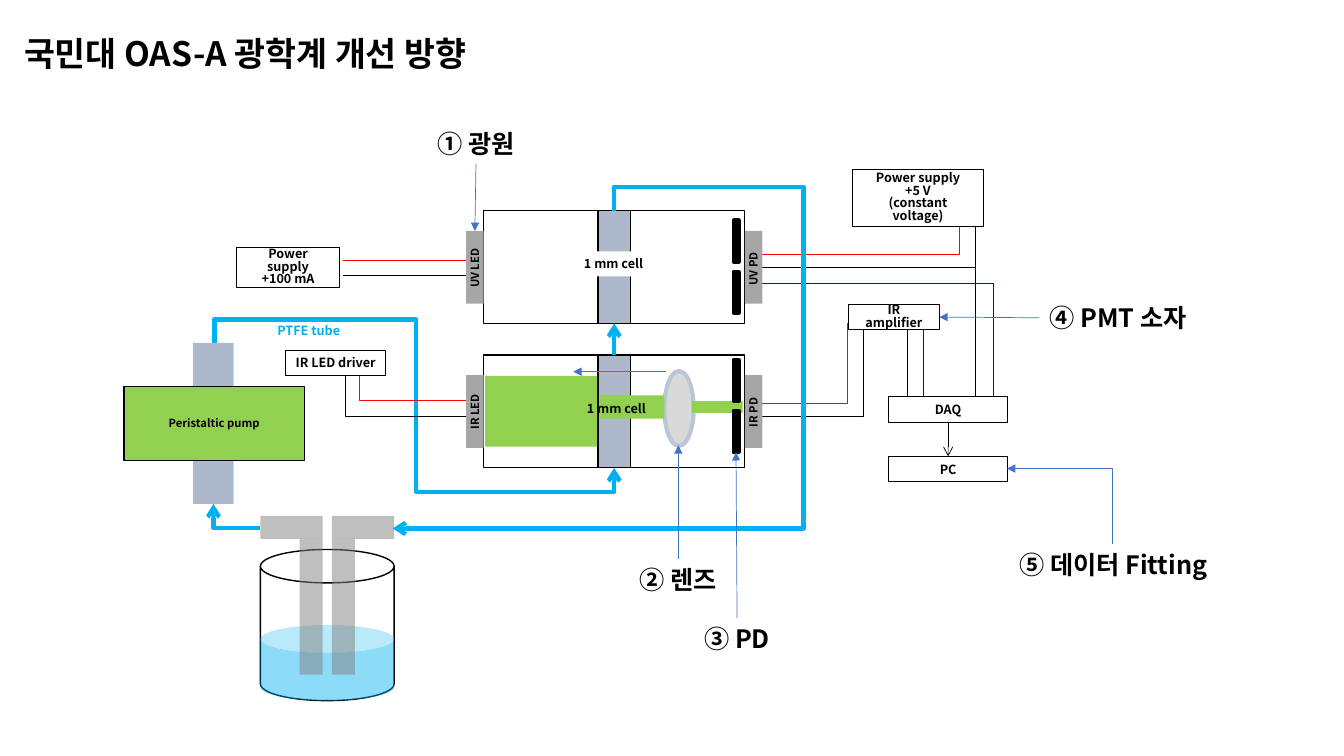
import pptx
import pptx.util
import pptx.dml.color
import pptx.enum.shapes
import pptx.enum.text
import pptx.oxml.ns
from lxml import etree

Pt = pptx.util.Pt
qn = pptx.oxml.ns.qn
SHAPE = pptx.enum.shapes.MSO_SHAPE
LINK = pptx.enum.shapes.MSO_CONNECTOR
ALIGN = pptx.enum.text.PP_ALIGN
MIDDLE = pptx.enum.text.MSO_ANCHOR.MIDDLE
FONT = "Noto Sans CJK KR"
BLACK, WHITE, RED, BLUE = "000000", "FFFFFF", "FF0000", "0000FF"
TUBE, GREEN, GLASS, HOLDER, POINTER = "00B0F0", "92D050", "ADB9CA", "A6A6A6", "4472C4"
TOP, LEFT, BOTTOM, RIGHT = range(4)


def colour(code):
    return pptx.dml.color.RGBColor.from_string(code)


def inside(box, part):
    """Turn a part's offsets within a box into slide lengths."""
    return [Pt(box[0] + part[0]), Pt(box[1] + part[1])] + [Pt(size) for size in part[2:]]


def write(shape, text, size, code=BLACK, align=ALIGN.CENTER, wrap=True, anchor=MIDDLE, spacing=None):
    frame = shape.text_frame
    layout = {"word_wrap": wrap, "vertical_anchor": anchor,
              "auto_size": pptx.enum.text.MSO_AUTO_SIZE.NONE}
    for name, value in layout.items():
        setattr(frame, name, value)
    for index, line in enumerate(text.split("\n")):
        para = frame.paragraphs[0] if index == 0 else frame.add_paragraph()
        para.alignment, para.line_spacing = align, spacing
        span = para.add_run()
        span.text = line
        for name, value in {"name": FONT, "size": Pt(size), "bold": True}.items():
            setattr(span.font, name, value)
        span.font.color.rgb = colour(code)
    for run_format in shape.element.iter(qn("a:rPr")):
        etree.SubElement(run_format, qn("a:ea"), typeface=FONT)


def block(page, box, part, fill=None, line=None, width=1, kind=SHAPE.RECTANGLE, opacity=None):
    shape = page.shapes.add_shape(kind, *inside(box, part))
    shape.shadow.inherit = False
    if fill:
        shape.fill.solid()
        shape.fill.fore_color.rgb = colour(fill)
        if opacity:
            tint = shape.element.spPr.find(".//" + qn("a:srgbClr"))
            etree.SubElement(tint, qn("a:alpha"), val=str(opacity * 1000))
    else:
        shape.fill.background()
    if line:
        shape.line.color.rgb = colour(line)
        shape.line.width = Pt(width)
    else:
        shape.line.fill.background()
    return shape


def label(page, box, part, text, size, **format_values):
    shape = page.shapes.add_textbox(*inside(box, part))
    write(shape, text, size, **format_values)
    return shape


def device(page, box, part, text, fill=WHITE, spacing=None):
    shape = block(page, box, part, fill, BLACK, 0.75)
    write(shape, text, 9, spacing=spacing)
    return shape


def wire(page, box, begin, end, code=BLACK, width=0.5, arrow=None, bends=0, adjust=(), turn=0):
    """Draw a line; one with bends is an elbow, laid out before it is turned."""
    line = page.shapes.add_connector(LINK.ELBOW if bends else LINK.STRAIGHT,
                                     *inside(box, begin), *inside(box, end))
    line.line.color.rgb = colour(code)
    line.line.width = Pt(width)
    properties = line.element.spPr
    if bends:
        shape = properties.find(qn("a:prstGeom"))
        shape.set("prst", f"bentConnector{bends + 1}")
        for number, value in enumerate(adjust, 1):
            etree.SubElement(shape.find(qn("a:avLst")), qn("a:gd"),
                             name=f"adj{number}", fmla=f"val {round(value * 100000)}")
    if turn:
        properties.find(qn("a:xfrm")).set("rot", str(turn * 60000))
    if arrow:
        etree.SubElement(properties.find(qn("a:ln")), qn("a:tailEnd"), type=arrow)
    etree.SubElement(properties, qn("a:effectLst"))
    return line


def join(page, start, start_side, end, end_side, code, width, arrow):
    line = wire(page, (0, 0), (0, 0), (1, 1), code, width, arrow)
    line.begin_connect(start, start_side)
    line.end_connect(end, end_side)


def draw_title(page, box, text):
    title = page.shapes.title
    for name, value in zip(("left", "top", "width", "height"), box):
        setattr(title, name, Pt(value))
    write(title, text, 24, align=ALIGN.LEFT, spacing=1.5)


def draw_detector_wires(page, box):
    # Elbows from the photodiodes
    for begin, end, code, adjust in [
            ((18.5, 168), (85.5, 111), RED, 0.996), ((18.5, 177.5), (98.5, 111), BLACK, 0.975),
            ((8, 61.5), (163.5, 15.5), RED, 1.012), ((8.5, 71), (177, 25.5), BLACK, 1),
            ((8, 82.5), (188.5, 170), BLUE, 1.004)]:
        wire(page, box, begin, end, code, bends=2, adjust=[adjust])
    # Drops into the DAQ
    for x, top, bottom, code in [(177, 25.5, 176, BLACK), (128, 113.5, 166.5, BLACK),
                                 (139.5, 113.5, 166.5, BLUE)]:
        wire(page, box, (x, top), (x, bottom), code)


def draw_detector_devices(page, box):
    device(page, box, (89, 1, 93.5, 40.5), "Power supply\n+5 V\n(constant voltage)", spacing=0.82)
    amplifier = device(page, box, (86, 97.5, 65, 18), "IR amplifier", spacing=0.82)
    daq = device(page, box, (115, 163.5, 84.5, 18), "DAQ")
    computer = device(page, box, (115, 206, 84.5, 18), "PC", fill=None)
    join(page, daq, BOTTOM, computer, TOP, BLACK, 0.5, "arrow")
    return amplifier


def draw_led_supplies(page, box):
    for y, code in [(16, RED), (26.5, BLACK)]:
        wire(page, box, (85, y), (184, y), code)
    wire(page, box, (203, 116), (96.5, 95.5), RED, bends=2, adjust=[0.998])
    wire(page, box, (214.5, 127.5), (106.5, 95.5), bends=2, adjust=[1.18])
    device(page, box, (44, 80.5, 71.5, 18), "IR LED driver", spacing=0.82)
    device(page, box, (9, 6.5, 73.5, 29), "Power supply\n+100 mA", spacing=0.82)


def draw_flow(page, box):
    # Pump and its tube to the cells
    wire(page, box, (260.5, 27), (171.5, 312.5), TUBE, 3, "arrow", 4, (-0.191, 0.505, 1.191), 270)
    block(page, box, (58, 125, 29, 115), GLASS)
    pump = block(page, box, (8.5, 156, 129, 53), GREEN, BLACK)
    write(pump, "Peristaltic pump", 8)
    label(page, box, (111, 107, 75.5, 24.5), "PTFE tube", 9, code=TUBE, align=ALIGN.LEFT,
          wrap=False, anchor=pptx.enum.text.MSO_ANCHOR.TOP)
    # Vessel, water and the two dip pipes
    block(page, box, (106, 272.5, 95.5, 108), WHITE, BLACK, kind=SHAPE.CAN)
    water = block(page, box, (106, 326.5, 95.5, 54), TUBE, kind=SHAPE.CAN, opacity=45)
    water.adjustments[0] = 0.368
    for cap, pipe in [(106, 134), (157, 157)]:
        block(page, box, (cap, 248.5, 44.5, 16.5), "808080", opacity=50)
        block(page, box, (pipe, 265, 16.5, 97), "808080", opacity=50)
    wire(page, box, (106, 257), (72.5, 240), TUBE, 3, "arrow", 1)


def draw_return_tube(page, box):
    wire(page, box, (393, 223), (166, 65), TUBE, 3, "arrow", 3, (-0.075, -0.858), 270)


def draw_optics(page, box, band, led_width, slit_top, cell_label, focused=False):
    block(page, box, (0, 0) + box[2:], WHITE, BLACK)
    cell = block(page, box, (81.5, 0, 23.5, box[3]), GLASS, BLACK)
    # LED and photodiode holders
    holders = []
    for x, part, width in [(-12.5, "LED", led_width), (box[2], "PD", led_width - 3.5)]:
        holders.append(block(page, box, (x, 14.5, 12.5, 52), HOLDER))
        name = label(page, box, (x + 6 - width / 2, 32, width, 17.5), f"{band} {part}", 8,
                     align=ALIGN.LEFT, wrap=False)
        name.rotation = 270
    # Lens and beam
    if focused:
        block(page, box, (129, 11.5, 21, 53.5), "D9D9D9", "BAC6D4", 3, SHAPE.OVAL)
        for beam in [(1, 15, 80, 50.5), (83, 29, 46, 16.5), (148.5, 33, 36.5, 8.5)]:
            block(page, box, beam, GREEN)
        wire(page, box, (130.5, 12), (64, 12), POINTER, arrow="triangle")
    caption = block(page, box, (cell_label, 29, 57.5, 18), None if focused else WHITE)
    write(caption, "1 mm cell", 9, wrap=False)
    # Slit in front of the photodiode
    for y in (slit_top, slit_top + 36.5):
        slit = block(page, box, (178.5, y, 3.5, 29.5), BLACK, BLACK, 3)
    return cell, holders[0], slit


def draw_callouts(page, box, led, slit, amplifier):
    for part, text, side, target, target_side in [
            ((6.5, 8, 107, 29), "① 광원", BOTTOM, led, TOP),
            ((157, 319.5, 95, 29), "② 렌즈", None, None, None),
            ((156.5, 361.5, 180, 29), "③ PD", TOP, slit, BOTTOM),
            ((462.5, 132.5, 130, 29), "④ PMT 소자", LEFT, amplifier, RIGHT),
            ((423.5, 309, 183.5, 29), "⑤ 데이터 Fitting", None, None, None)]:
        align = ALIGN.LEFT if side == LEFT else ALIGN.CENTER
        note = label(page, box, part, text, 18, align=align)
        if target:
            join(page, note, side, target, target_side, POINTER, 0.5, "triangle")
    # Pointers to the lens and the computer
    wire(page, box, (204.5, 319.5), (204.5, 238), POINTER, arrow="triangle")
    wire(page, box, (450, 319.5), (504, 244), POINTER, arrow="triangle", bends=1, turn=270)


def main():
    deck = pptx.Presentation()
    deck.slide_width, deck.slide_height = Pt(960), Pt(540)
    page = deck.slides.add_slide(deck.slide_layouts.get_by_name("Title Only"))
    flow, detectors = (80, 120), (520, 120)
    draw_title(page, (10, 8, 376, 45.5), "국민대 OAS-A 광학계 개선 방향")
    draw_detector_wires(page, detectors)
    draw_flow(page, flow)
    draw_led_supplies(page, (160, 170))
    ir_cell, _, slit = draw_optics(page, (345.5, 253.5, 186.5, 80.5), "IR", 39.5, 3.5, 66, True)
    uv_cell, led, _ = draw_optics(page, (345.5, 150.5, 186.5, 80.5), "UV", 43, 7, 64)
    join(page, ir_cell, TOP, uv_cell, BOTTOM, TUBE, 3, "arrow")
    amplifier = draw_detector_devices(page, detectors)
    draw_return_tube(page, flow)
    draw_callouts(page, (280, 80), led, slit, amplifier)
    deck.save("out.pptx")


if __name__ == "__main__":
    main()
